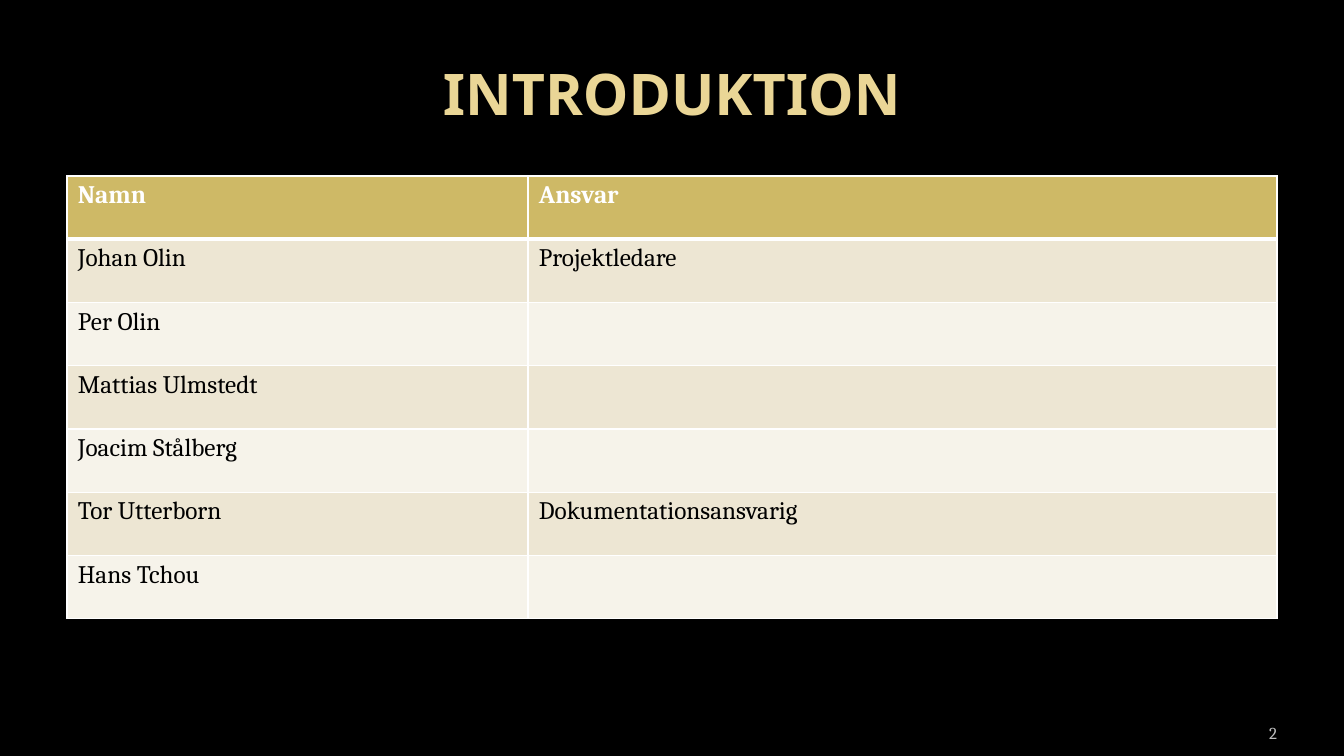
"""Build the project introduction slide with its table of names and duties."""
from lxml import etree
from pptx import Presentation
from pptx.dml.color import RGBColor
from pptx.enum.text import MSO_ANCHOR, MSO_AUTO_SIZE, PP_ALIGN
from pptx.oxml.ns import qn
from pptx.util import Emu, Pt

LEFT, CENTER, RIGHT = PP_ALIGN.LEFT, PP_ALIGN.CENTER, PP_ALIGN.RIGHT
MIDDLE, BOTTOM = MSO_ANCHOR.MIDDLE, MSO_ANCHOR.BOTTOM
NO_FIT = MSO_AUTO_SIZE.NONE
BLACK = RGBColor(0x00, 0x00, 0x00)
WHITE = RGBColor(0xFF, 0xFF, 0xFF)
CREAM = RGBColor(0xEA, 0xD6, 0x96)
GOLD = RGBColor(0xCE, 0xB9, 0x66)
SAND = RGBColor(0xED, 0xE6, 0xD3)
PALE = RGBColor(0xF6, 0xF3, 0xEA)
GRAY = RGBColor(0xBD, 0xBD, 0xBD)
SCALE = 12192000 / 1344
ROWS = [
    ("Namn", "Ansvar"),
    ("Johan Olin", "Projektledare"),
    ("Per Olin", ""),
    ("Mattias Ulmstedt", ""),
    ("Joacim Stålberg", ""),
    ("Tor Utterborn", "Dokumentationsansvarig"),
    ("Hans Tchou", ""),
]


def px(*vals):
    return [Emu(round(val * SCALE)) for val in vals]


def write(frame, text, size=18, font="Cambria", color=BLACK, bold=False, align=LEFT):
    para = frame.paragraphs[0]
    para.alignment = align
    run = para.add_run()
    run.text = text
    run.font.size = Pt(size)
    run.font.name = font
    run.font.bold = bold
    run.font.color.rgb = color


deck = Presentation()
deck.slide_width, deck.slide_height = px(1344, 756)
slide = deck.slides.add_slide(deck.slide_layouts[5])
slide.background.fill.solid()
slide.background.fill.fore_color.rgb = BLACK

title = slide.shapes.title
title.left, title.top, title.width, title.height = px(67, 30, 1210, 126)
title.text_frame.auto_size = NO_FIT
title.text_frame.vertical_anchor = MIDDLE
write(title.text_frame, "INTRODUKTION", size=41, font="Noto Sans",
      color=CREAM, bold=True, align=CENTER)

table = slide.shapes.add_table(len(ROWS), 2, *px(67, 176, 1210, 443)).table
table.first_row = table.horz_banding = False
for col, width in zip(table.columns, px(461, 749)):
    col.width = width
for row, texts in enumerate(ROWS):
    head = row == 0
    for col, text in enumerate(texts):
        cell = table.cell(row, col)
        props = cell._tc.get_or_add_tcPr()
        for side in ("lnL", "lnR", "lnT", "lnB"):
            thick = (row, side) in ((0, "lnB"), (1, "lnT"))
            line = etree.SubElement(props, qn(f"a:{side}"), w=str(Pt(3 if thick else 1)))
            paint = etree.SubElement(line, qn("a:solidFill"))
            etree.SubElement(paint, qn("a:srgbClr"), val=str(WHITE))
        cell.fill.solid()
        cell.fill.fore_color.rgb = GOLD if head else SAND if row % 2 else PALE
        cell.margin_left, cell.margin_right = px(11, 11)
        cell.margin_top, cell.margin_bottom = px(5, 5)
        if text:
            write(cell.text_frame, text, color=WHITE if head else BLACK, bold=head)

frame = slide.shapes.add_textbox(*px(1165, 708, 112, 40)).text_frame
frame.word_wrap = True
frame.vertical_anchor = BOTTOM
frame.margin_left = frame.margin_right = 0
write(frame, "2", size=12, color=GRAY, align=RIGHT)

deck.save("out.pptx")
